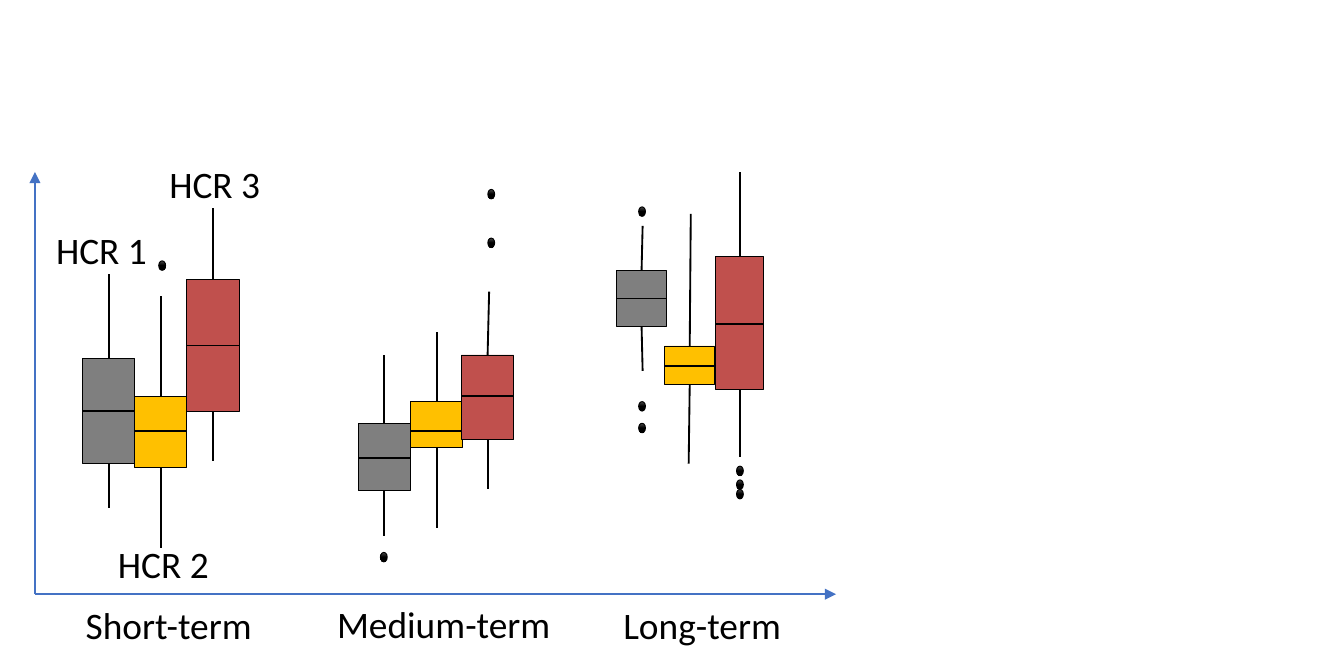
from lxml.etree import SubElement
from pptx import Presentation
from pptx.dml.color import RGBColor
from pptx.enum.shapes import MSO_CONNECTOR as Connector, MSO_SHAPE as Shape
from pptx.enum.text import MSO_AUTO_SIZE as AutoSize
from pptx.oxml.ns import qn
from pptx.util import Cm, Pt

BLACK = RGBColor(0x00, 0x00, 0x00)
CHARCOAL = RGBColor(0x4B, 0x4B, 0x4B)
BLUE = RGBColor(0x44, 0x72, 0xC4)
GREY = RGBColor(0x7F, 0x7F, 0x7F)
YELLOW = RGBColor(0xFF, 0xC0, 0x00)
RED = RGBColor(0xC0, 0x50, 0x4D)

presentation = Presentation()
presentation.slide_width = Cm(25.4)
presentation.slide_height = Cm(12.7)
slide = presentation.slides.add_slide(presentation.slide_layouts[6])


def add_line(x1, y1, x2, y2, color=BLACK, arrow=False):
    line = slide.shapes.add_connector(
        Connector.STRAIGHT, Cm(x1), Cm(y1), Cm(x2), Cm(y2))
    line.line.color.rgb = color
    line.line.width = Pt(1)
    if arrow:
        SubElement(line.line._get_or_add_ln(), qn("a:tailEnd"), type="triangle")
    SubElement(line._element.spPr, qn("a:effectLst"))


def add_outlined_shape(kind, left, top, width, height):
    shape = slide.shapes.add_shape(kind, Cm(left), Cm(top), Cm(width), Cm(height))
    shape.shadow.inherit = False
    shape.line.color.rgb = BLACK
    shape.line.width = Pt(0.5)
    return shape


# Axes
ORIGIN_X, ORIGIN_Y = 0.66, 11.23
for end_x, end_y in [(ORIGIN_X, 3.25), (15.8, ORIGIN_Y)]:
    add_line(ORIGIN_X, ORIGIN_Y, end_x, end_y, BLUE, arrow=True)

# Box plots, one row of three rules per term:
# left, width, box top, box bottom, median, whisker top, whisker bottom,
# sideways lean of the upper and of the lower whisker
terms = [
    [(1.56, 0.99, 6.78, 8.76, 7.77, 5.18, 9.6, 0, 0),
     (2.54, 0.99, 7.49, 8.84, 8.15, 5.59, 10.36, 0, 0),
     (3.53, 0.99, 5.28, 7.77, 6.53, 3.94, 8.71, 0, 0)],
    [(6.77, 0.99, 8.0, 9.28, 8.66, 6.71, 10.13, 0, 0),
     (7.76, 0.99, 7.59, 8.46, 8.15, 6.27, 9.98, 0, 0),
     (8.72, 0.99, 6.71, 8.31, 7.49, 5.51, 9.25, 0.03, 0)],
    [(11.65, 0.95, 5.11, 6.17, 5.64, 4.27, 7.01, 0.02, 0.02),
     (12.56, 0.95, 6.54, 7.27, 6.91, 4.04, 8.76, 0.02, -0.02),
     (13.53, 0.9, 4.85, 7.36, 6.12, 3.25, 8.64, 0, 0)],
]
for boxes in terms:
    for box, color in zip(boxes, (GREY, YELLOW, RED)):
        left, width, top, bottom, median, high, low, lean_up, lean_down = box
        middle = left + width / 2
        shape = add_outlined_shape(Shape.RECTANGLE, left, top, width, bottom - top)
        shape.fill.solid()
        shape.fill.fore_color.rgb = color
        add_line(left, median, left + width, median)
        add_line(middle, top, middle + lean_up, high)
        add_line(middle, bottom, middle + lean_down, low)

# Term and rule labels
labels = [
    ("Short-term", 1.37, 11.25),
    ("Medium-term", 6.12, 11.23),
    ("Long-term", 11.53, 11.25),
    ("HCR 1", 0.81, 4.17),
    ("HCR 2", 1.98, 10.11),
    ("HCR 3", 2.95, 2.92),
]
for text, left, top in labels:
    text_box = slide.shapes.add_textbox(Cm(left), Cm(top), Cm(6.65), Cm(1.11))
    text_frame = text_box.text_frame
    text_frame.word_wrap = True
    text_frame.auto_size = AutoSize.SHAPE_TO_FIT_TEXT
    run = text_frame.paragraphs[0].add_run()
    run.text = text
    run.font.name = "Calibri"
    run.font.size = Pt(20)
    run.font.color.rgb = BLACK

# Outliers: left edge of each column and the tops of its dots
outliers = [
    (3.0, [4.93]),
    (7.19, [10.44]),
    (9.22, [3.58, 4.5]),
    (12.07, [3.91, 7.59, 8.0]),
    (13.92, [8.81, 9.07, 9.25]),
]
for left, tops in outliers:
    for top in tops:
        dot = add_outlined_shape(Shape.OVAL, left, top, 0.13, 0.18)
        dot.fill.gradient()
        dot.fill.gradient_angle = 270
        shades = [(0, CHARCOAL), (0.5, BLACK)]
        for stop, (position, color) in zip(dot.fill.gradient_stops, shades):
            stop.position = position
            stop.color.rgb = color

presentation.save("out.pptx")
